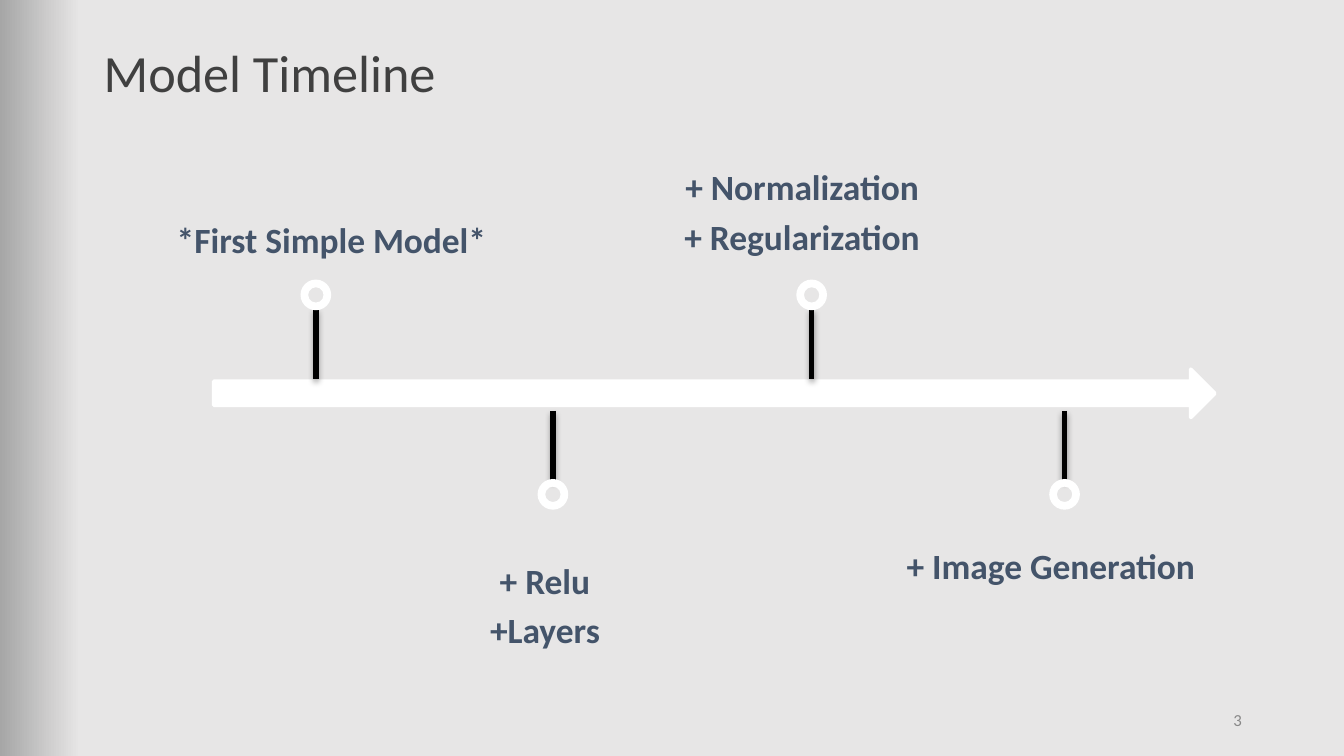
from lxml import etree
from pptx import Presentation
from pptx.dml.color import RGBColor
from pptx.enum.shapes import MSO_CONNECTOR, MSO_SHAPE
from pptx.enum.text import MSO_ANCHOR, MSO_AUTO_SIZE, PP_ALIGN
from pptx.oxml.ns import qn
from pptx.util import Cm, Pt

LEFT, CENTER, RIGHT = PP_ALIGN.LEFT, PP_ALIGN.CENTER, PP_ALIGN.RIGHT
MIDDLE, NO_AUTO_SIZE = MSO_ANCHOR.MIDDLE, MSO_AUTO_SIZE.NONE
ARROW, DONUT, STRAIGHT = MSO_SHAPE.RIGHT_ARROW, MSO_SHAPE.DONUT, MSO_CONNECTOR.STRAIGHT

WHITE = RGBColor(0xFF, 0xFF, 0xFF)
BLACK = RGBColor(0x00, 0x00, 0x00)
CHARCOAL = RGBColor(0x40, 0x40, 0x40)
SLATE = RGBColor(0x44, 0x54, 0x6A)
GRAY = RGBColor(0x88, 0x88, 0x88)
EDGE_GRAY = RGBColor(0xA6, 0xA6, 0xA6)
LIGHT_GRAY = RGBColor(0xE7, 0xE6, 0xE6)

TITLE = "Model Timeline"
PAGE_NUMBER = "3"
# All lengths in centimetres; boxes are left, top, width, height.
MILESTONES = [
    {"lines": ["*First Simple Model*"], "x": 5.97, "above": True,
     "box": (2.44, 3.99, 7.85, 1.17)},
    {"lines": ["+ Relu", "+Layers"], "x": 10.45, "above": False,
     "box": (6.83, 10.49, 7.14, 1.98)},
    {"lines": ["+ Normalization", "+ Regularization"], "x": 15.34, "above": True,
     "box": (12.25, 2.9, 6.02, 2.29)},
    {"lines": ["+ Image Generation"], "x": 20.12, "above": False,
     "box": (16.95, 10.16, 6.02, 1.17)},
]
TITLE_BOX = (1.78, 0.03, 21.89, 2.79)
NUMBER_BOX = (17.93, 13.23, 5.72, 0.76)
ARROW_BOX = (4.04, 6.98, 18.92, 0.91)
STEM_LENGTH = 1.32
STEM_GAP = 0.28  # between the arrow's axis and a stem
RING_SIZE = 0.58
RING_OVERLAP = 0.03

PLACEHOLDER_MARGINS = (0.18, 0.1, 0.18, 0.1)
LABEL_MARGINS = (0, 0, 0.2, 0)
TITLE_FONT = {"size": Pt(28), "bold": False}
NUMBER_FONT = {"size": Pt(9), "bold": False}
LABEL_FONT = {"size": Pt(19), "bold": True}
TITLE_PARAGRAPH = {"alignment": LEFT, "line_spacing": 0.9}
NUMBER_PARAGRAPH = {"alignment": RIGHT}
LABEL_PARAGRAPH = {"alignment": CENTER, "line_spacing": 0.9, "space_after": Pt(6)}


def to_cm(values):
    return [Cm(value) for value in values]


def set_attributes(target, values):
    for name, value in values.items():
        setattr(target, name, value)


def write_text(shape, lines, margins, paragraph_format, font_format, color):
    frame = shape.text_frame
    frame.text = "\n".join(lines)
    left, top, right, bottom = to_cm(margins)
    set_attributes(frame, {
        "word_wrap": True, "auto_size": NO_AUTO_SIZE, "vertical_anchor": MIDDLE,
        "margin_left": left, "margin_top": top,
        "margin_right": right, "margin_bottom": bottom,
    })
    for paragraph in frame.paragraphs:
        set_attributes(paragraph, paragraph_format)
        font = paragraph.runs[0].font
        set_attributes(font, {"name": "Calibri", **font_format})
        font.color.rgb = color


def add_white_shape(slide, kind, box):
    shape = slide.shapes.add_shape(kind, *to_cm(box))
    shape.shadow.inherit = False
    shape.fill.solid()
    shape.fill.fore_color.rgb = WHITE
    shape.line.fill.background()
    return shape


def add_stem(slide, x, top):
    stem = slide.shapes.add_connector(STRAIGHT, *to_cm((x, top, x, top + STEM_LENGTH)))
    stem.line.color.rgb = BLACK
    stem.line.width = Pt(3)
    effects = etree.SubElement(stem._element.spPr, qn("a:effectLst"))
    shadow = etree.SubElement(effects, qn("a:outerShdw"), blurRad="40000",
                              dist="23000", dir="5400000", rotWithShape="0")
    color = etree.SubElement(shadow, qn("a:srgbClr"), val=str(BLACK))
    etree.SubElement(color, qn("a:alpha"), val="35000")


def add_milestone(slide, milestone):
    """Add one stem with its ring and label, above or below the arrow."""
    x = milestone["x"]
    axis = ARROW_BOX[1] + ARROW_BOX[3] / 2
    if milestone["above"]:
        stem_top = axis - STEM_GAP - STEM_LENGTH
        ring_top = stem_top - RING_SIZE + RING_OVERLAP
    else:
        stem_top = axis + STEM_GAP + 0.05
        ring_top = stem_top + STEM_LENGTH - RING_OVERLAP
    add_stem(slide, x, stem_top)
    add_white_shape(slide, DONUT, (x - RING_SIZE / 2, ring_top, RING_SIZE, RING_SIZE))
    label = slide.shapes.add_textbox(*to_cm(milestone["box"]))
    write_text(label, milestone["lines"], LABEL_MARGINS, LABEL_PARAGRAPH, LABEL_FONT, SLATE)


def paint_background(slide):
    fill = slide.background.fill
    fill.gradient()
    fill.gradient_angle = 0
    for stop, (position, color) in zip(fill.gradient_stops,
                                       [(0, EDGE_GRAY), (0.06, LIGHT_GRAY)]):
        stop.position = position
        stop.color.rgb = color


def main():
    presentation = Presentation()
    presentation.slide_width, presentation.slide_height = to_cm((25.4, 14.29))
    slide = presentation.slides.add_slide(presentation.slide_layouts[5])
    paint_background(slide)

    title = slide.shapes.title
    title.left, title.top, title.width, title.height = to_cm(TITLE_BOX)
    write_text(title, [TITLE], PLACEHOLDER_MARGINS, TITLE_PARAGRAPH, TITLE_FONT, CHARCOAL)

    number = slide.shapes.add_textbox(*to_cm(NUMBER_BOX))
    write_text(number, [PAGE_NUMBER], PLACEHOLDER_MARGINS, NUMBER_PARAGRAPH, NUMBER_FONT, GRAY)

    arrow = add_white_shape(slide, ARROW, ARROW_BOX)
    arrow.line.color.rgb = WHITE
    arrow.line.width = Pt(2)
    for milestone in MILESTONES:
        add_milestone(slide, milestone)

    presentation.save("out.pptx")


if __name__ == "__main__":
    main()
